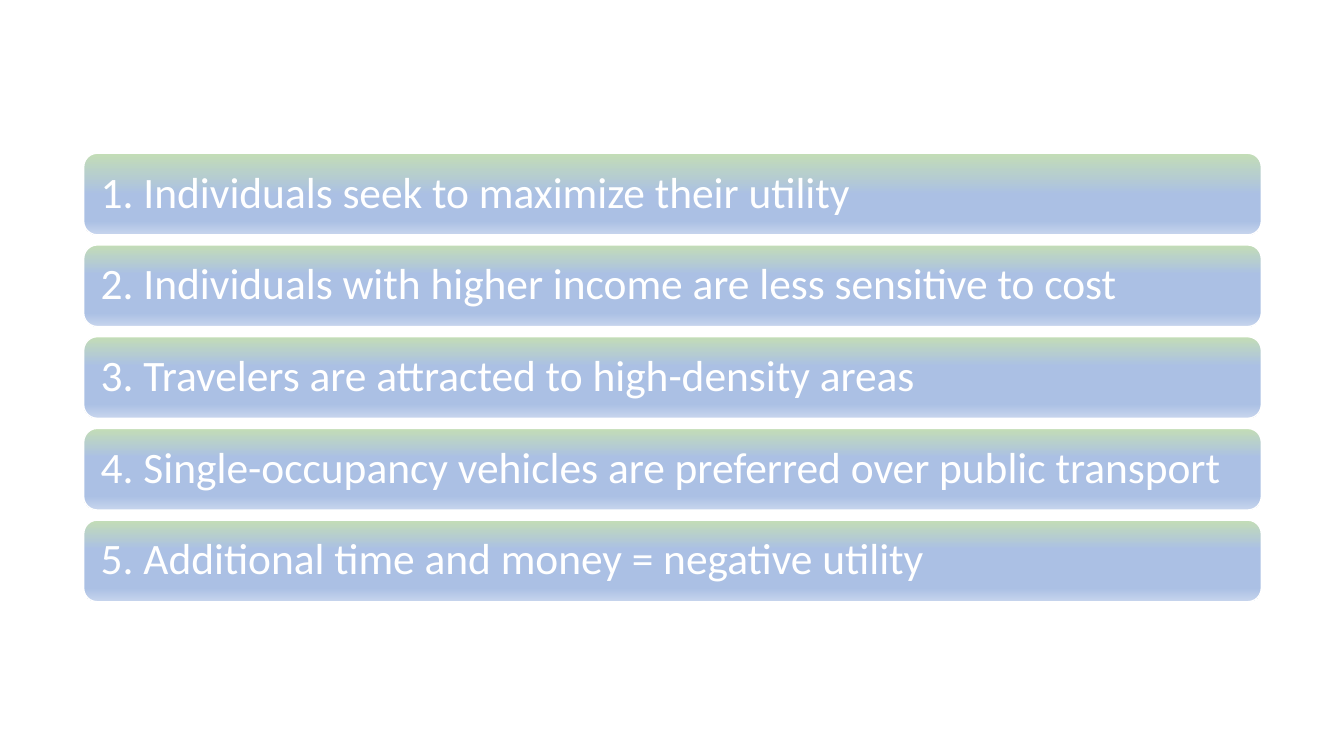
from lxml.etree import SubElement
from pptx import Presentation
from pptx.dml.color import RGBColor
from pptx.enum.shapes import MSO_SHAPE as Shape
from pptx.enum.text import MSO_ANCHOR as Anchor, PP_ALIGN as Align
from pptx.oxml.ns import qn
from pptx.util import Inches, Pt

WHITE = RGBColor(0xFF, 0xFF, 0xFF)
GREEN = RGBColor(0xC3, 0xDD, 0xB6)
BLUE = RGBColor(0xAB, 0xC0, 0xE4)
PALE_BLUE = RGBColor(0xC7, 0xD5, 0xED)

ASSUMPTIONS = [
    "Individuals seek to maximize their utility",
    "Individuals with higher income are less sensitive to cost",
    "Travelers are attracted to high-density areas",
    "Single-occupancy vehicles are preferred over public transport",
    "Additional time and money = negative utility",
]
LEFT, TOP, WIDTH, HEIGHT, PITCH = 0.83, 1.52, 11.68, 0.81, 0.91


def write_text(tf, text, size=31, font="Calibri", color=WHITE, inset=0.13):
    """Write one left-aligned, vertically centred line into a text frame."""
    tf.word_wrap = True
    tf.vertical_anchor = Anchor.MIDDLE
    tf.margin_left = tf.margin_right = Inches(inset)
    tf.margin_top = tf.margin_bottom = Inches(inset)
    p = tf.paragraphs[0]
    p.alignment = Align.LEFT
    p.line_spacing = 0.9
    r = p.add_run()
    r.text = text
    r.font.size = Pt(size)
    r.font.name = font
    r.font.color.rgb = color


class SlideBuilder:
    """Hold the current slide and the style of its bars."""

    def __init__(self, s):
        """Keep the slide to draw on."""
        self.s = s

    def gradient(self, sp, stops):
        """Fill a shape from top to bottom with (percent, colour) stops."""
        sp.fill.gradient()
        sp.fill.gradient_angle = 270
        stop_list = sp._element.spPr.find(f".//{qn('a:gsLst')}")
        stop_list.clear()
        for percent, color in stops:
            stop = SubElement(stop_list, qn("a:gs"), pos=str(percent * 1000))
            SubElement(stop, qn("a:srgbClr"), val=str(color))

    def bar(self, text, top, blue_start):
        """Add a rounded gradient bar with its text."""
        sp = self.s.shapes.add_shape(
            Shape.ROUNDED_RECTANGLE, Inches(LEFT), Inches(top), Inches(WIDTH), Inches(HEIGHT)
        )
        sp.shadow.inherit = False
        sp.line.color.rgb = WHITE
        sp.line.width = Pt(1)
        self.gradient(sp, [(0, GREEN), (blue_start, BLUE), (83, BLUE), (100, PALE_BLUE)])
        write_text(sp.text_frame, text)


def main():
    """Build the slide and save it."""
    prs = Presentation()
    prs.slide_width, prs.slide_height = Inches(13.33), Inches(7.5)
    builder = SlideBuilder(prs.slides.add_slide(prs.slide_layouts[6]))
    for i, text in enumerate(ASSUMPTIONS):
        builder.bar(f"{i + 1}. {text}", TOP + i * PITCH, 51 if i == 0 else 36)
    prs.save("out.pptx")


if __name__ == "__main__":
    main()
